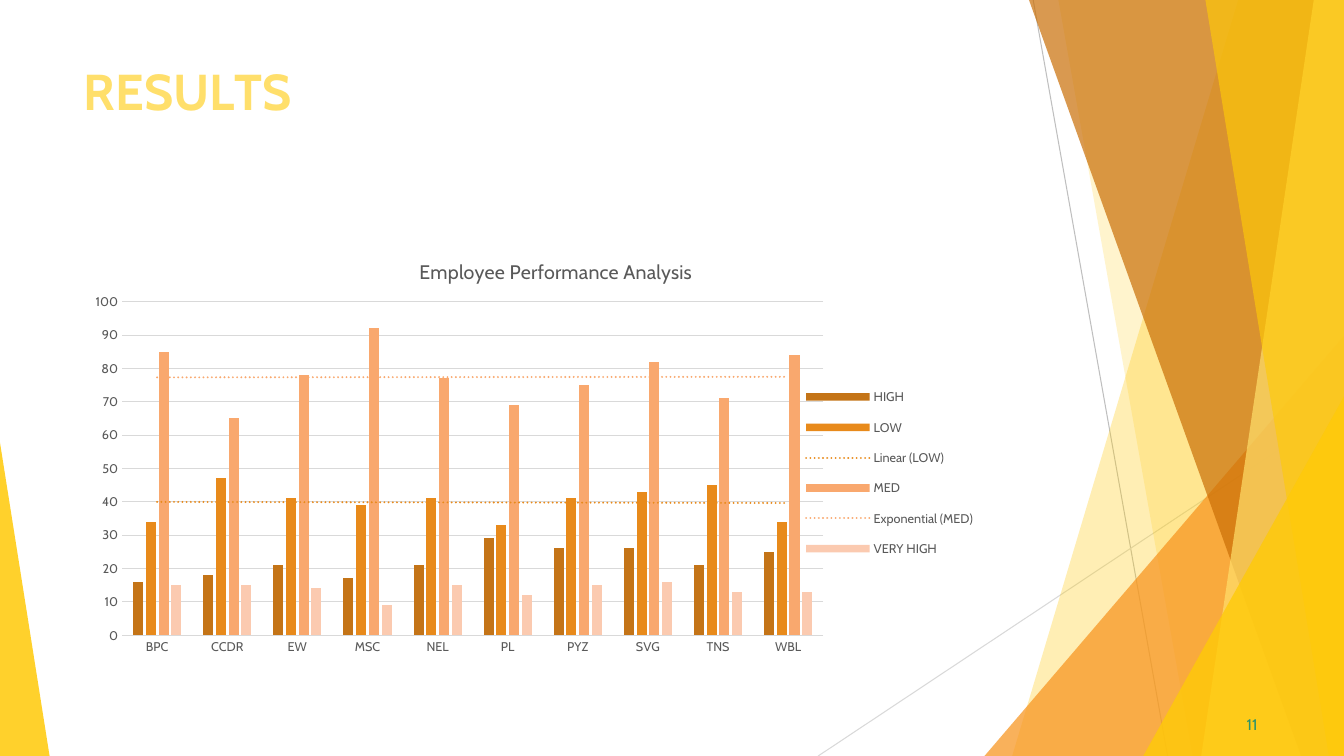
"""Build the results slide with its employee performance chart."""
from typing import NamedTuple

from lxml import etree
from pptx import Presentation
from pptx.chart.data import CategoryChartData
from pptx.dml.color import RGBColor
from pptx.enum.chart import XL_CHART_TYPE, XL_LEGEND_POSITION, XL_TICK_MARK
from pptx.enum.shapes import MSO_CONNECTOR, MSO_SHAPE
from pptx.enum.text import MSO_ANCHOR, MSO_AUTO_SIZE, PP_ALIGN
from pptx.oxml import parse_xml
from pptx.oxml.ns import nsdecls, qn
from pptx.util import Inches, Pt

CLUSTERED = XL_CHART_TYPE.COLUMN_CLUSTERED
LEGEND_RIGHT = XL_LEGEND_POSITION.RIGHT
NO_TICK = XL_TICK_MARK.NONE
STRAIGHT = MSO_CONNECTOR.STRAIGHT
TRIANGLE = MSO_SHAPE.ISOSCELES_TRIANGLE
TOP = MSO_ANCHOR.TOP
GROW = MSO_AUTO_SIZE.SHAPE_TO_FIT_TEXT
LEFT = PP_ALIGN.LEFT

FONT = "Cabin"
COLS, ROWS = 160, 90
WIDTH, HEIGHT = Inches(13.33), Inches(7.5)
COLORS = {
    "gold": "FFCA08", "pale_gold": "FFDF6B", "orange": "F8931D", "brown": "CA6F06",
    "gray": "BFBFBF", "light_gray": "D9D9D9", "label": "595959", "black": "000000",
    "page": "2D936B", "high": "C47417", "low": "E88A1B", "med": "F9A86E",
    "very_high": "FBCAB0",
}


class Ray(NamedTuple):
    start: tuple[float, float]
    end: tuple[float, float]
    color: str


class Band(NamedTuple):
    top_col: float
    bottom_col: float
    color: str
    opacity: int


class Corner(NamedTuple):
    left: float
    top: float
    width: float
    peak: float
    color: str
    opacity: int


class Letters(NamedTuple):
    text: str
    spacing: float


class Rating(NamedTuple):
    name: str
    scores: tuple[int, ...]
    color: str
    trend: str = ""


RAYS = [Ray((123, 0), (139, ROWS), "gray"), Ray((COLS, 48.4), (97.4, ROWS), "light_gray")]
FACETS = [
    Band(147.4, 120.5, "gold", 30),
    Band(126, 142, "gold", 20),
    Corner(117.2, 40, 42.8, 1, "orange", 72),
    Band(122.5, 154.9, "brown", 70),
    Band(156.4, 143, "pale_gold", 70),
    Band(143.5, 158.2, "gold", 65),
    Corner(136.1, 47.2, 23.9, 1, "gold", 80),
    Corner(0, 52.7, 5.9, 0, "gold", 85),
]
HEADING = [Letters("R", 0), Letters("E", -0.4), Letters("S", 0.1),
           Letters("U", -0.3), Letters("L", -4), Letters("TS", 0)]
UNITS = ["BPC", "CCDR", "EW", "MSC", "NEL", "PL", "PYZ", "SVG", "TNS", "WBL"]
RATINGS = [
    Rating("HIGH", (16, 18, 21, 17, 21, 29, 26, 26, 21, 25), "high"),
    Rating("LOW", (34, 47, 41, 39, 41, 33, 41, 43, 45, 34), "low", "linear"),
    Rating("MED", (85, 65, 78, 92, 77, 69, 75, 82, 71, 84), "med", "exp"),
    Rating("VERY HIGH", (15, 15, 14, 9, 15, 12, 15, 16, 13, 13), "very_high"),
]


def across(cols: float) -> int:
    return round(WIDTH * cols / COLS)


def down(rows: float) -> int:
    return round(HEIGHT * rows / ROWS)


def rgb(color: str) -> RGBColor:
    return RGBColor.from_string(COLORS[color])


def style_font(font, size: float, color: str, bold: bool = False) -> None:
    font.name, font.size, font.bold = FONT, Pt(size), bold
    font.color.rgb = rgb(color)


def style_line(line, color: str) -> None:
    line.color.rgb = rgb(color)
    line.width = Pt(0.75)


def draw_ray(shapes, ray: Ray) -> None:
    (x1, y1), (x2, y2) = ray.start, ray.end
    edge = shapes.add_connector(STRAIGHT, across(x1), down(y1), across(x2), down(y2))
    style_line(edge.line, ray.color)
    etree.SubElement(edge._element.spPr, qn("a:effectLst"))


def draw_facet(shapes, facet: Band | Corner) -> None:
    if isinstance(facet, Band):
        outline = shapes.build_freeform(across(facet.top_col), 0)
        outline.add_line_segments(
            [(WIDTH, 0), (WIDTH, HEIGHT), (across(facet.bottom_col), HEIGHT)], close=True)
        pane = outline.convert_to_shape()
    else:
        pane = shapes.add_shape(TRIANGLE, across(facet.left), down(facet.top),
                                across(facet.width), down(ROWS - facet.top))
        pane.adjustments[0] = facet.peak
    pane.shadow.inherit = False
    pane.line.fill.background()
    pane.fill.solid()
    pane.fill.fore_color.rgb = rgb(facet.color)
    tint = pane._element.spPr.xpath("./a:solidFill/a:srgbClr")[0]
    etree.SubElement(tint, qn("a:alpha")).set("val", str(facet.opacity * 1000))


def write_letters(frame, letters: list[Letters], size: float, color: str,
                  bold: bool, before: float) -> None:
    frame.margin_left = frame.margin_right = frame.margin_bottom = 0
    frame.margin_top = Inches(0.01)
    frame.word_wrap, frame.auto_size, frame.vertical_anchor = True, GROW, TOP
    line = frame.paragraphs[0]
    line.alignment, line.space_before = LEFT, Pt(before)
    for part in letters:
        run = line.add_run()
        run.text = part.text
        style_font(run.font, size, color, bold)
        run.font._element.set("spc", str(round(part.spacing * 100)))


def place_part(part, index: int, target: str, **shares: float) -> None:
    for old in part.xpath("./c:layout"):
        part.remove(old)
    layout = etree.Element(qn("c:layout"))
    manual = etree.SubElement(layout, qn("c:manualLayout"))
    settings = {"layoutTarget": target} if target else {}
    settings |= {"xMode": "edge", "yMode": "edge"} | shares
    for tag, value in settings.items():
        etree.SubElement(manual, qn(f"c:{tag}")).set("val", str(value))
    part.insert(index, layout)


def add_trend(series, rating: Rating) -> None:
    trend = parse_xml(
        f'<c:trendline {nsdecls("c", "a")}><c:spPr><a:ln w="{Pt(1.5)}" cap="rnd">'
        f'<a:solidFill><a:srgbClr val="{COLORS[rating.color]}"/></a:solidFill>'
        f'<a:prstDash val="sysDot"/></a:ln></c:spPr><c:trendlineType val="{rating.trend}"/>'
        '<c:dispRSqr val="0"/><c:dispEq val="0"/></c:trendline>')
    series._element.xpath("./c:cat")[0].addprevious(trend)


def draw_performance(shapes) -> None:
    data = CategoryChartData()
    data.categories = UNITS
    for rating in RATINGS:
        data.add_series(rating.name, rating.scores)
    chart = shapes.add_chart(CLUSTERED, across(8.9), down(28.3),
                             across(112.8), down(50.9), data).chart
    style_font(chart.font, 10, "black")
    caption = chart.chart_title.text_frame.paragraphs[0].add_run()
    caption.text = "Employee Performance Analysis"
    style_font(caption.font, 14, "label")
    place_part(chart.chart_title._element, 1, "", x=0.36, y=0.04)

    columns = chart.plots[0]
    columns.gap_width, columns.overlap, columns.vary_by_categories = 219, -27, False
    for series, rating in zip(columns.series, RATINGS):
        series.format.fill.solid()
        series.format.fill.fore_color.rgb = rgb(rating.color)
        if rating.trend:
            add_trend(series, rating)

    units, scores = chart.category_axis, chart.value_axis
    for axis in (units, scores):
        axis.major_tick_mark = axis.minor_tick_mark = NO_TICK
        style_font(axis.tick_labels.font, 9, "label")
    style_line(units.format.line, "light_gray")
    scores.format.line.fill.background()
    style_line(scores.major_gridlines.format.line, "light_gray")
    scores.minimum_scale, scores.maximum_scale, scores.major_unit = 0, 100, 10
    chart.has_legend = True
    chart.legend.position, chart.legend.include_in_layout = LEGEND_RIGHT, False
    style_font(chart.legend.font, 9, "label")
    place_part(chart.legend._element, 1, "", x=0.76, y=0.32, w=0.2, h=0.46)
    plot_area = chart._chartSpace.xpath("./c:chart/c:plotArea")[0]
    place_part(plot_area, 0, "inner", x=0.05, y=0.15, w=0.74, h=0.78)


def main() -> None:
    deck = Presentation()
    deck.slide_width, deck.slide_height = WIDTH, HEIGHT
    slide = deck.slides.add_slide(deck.slide_layouts[5])
    shapes = slide.shapes
    for ray in RAYS:
        draw_ray(shapes, ray)
    for facet in FACETS:
        draw_facet(shapes, facet)
    heading = shapes.title
    heading.left, heading.top = across(10), down(7)
    heading.width, heading.height = across(112.8), down(7.4)
    write_letters(heading.text_frame, HEADING, 36, "pale_gold", True, 1.1)
    page = shapes.add_textbox(across(148.4), down(85), across(2.6), down(2.5))
    write_letters(page.text_frame, [Letters("11", 0.1)], 11, "page", False, 0.6)
    draw_performance(shapes)
    deck.save("out.pptx")


if __name__ == "__main__":
    main()
